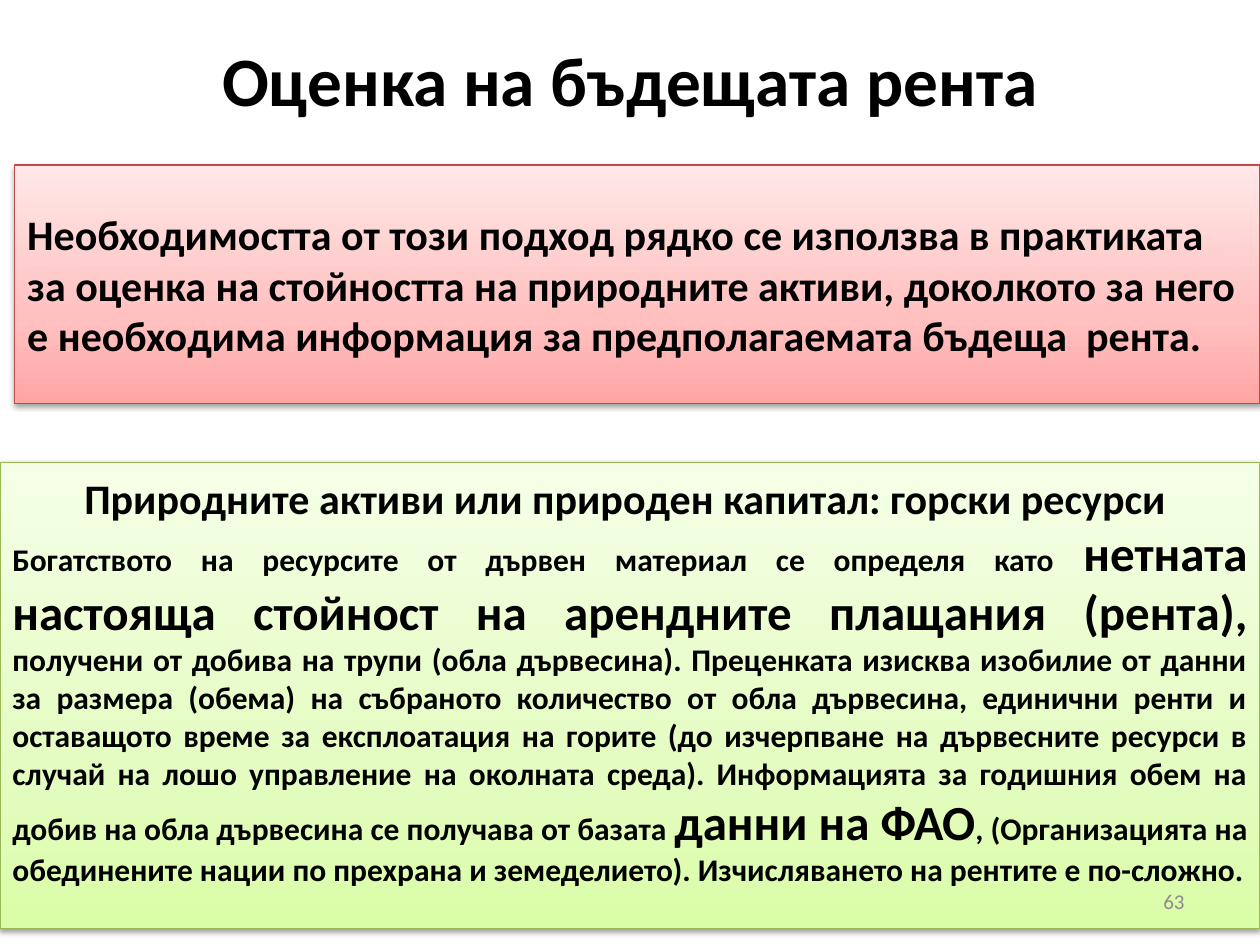
import copy
from dataclasses import dataclass

import lxml.etree
import pptx
import pptx.dml.color
import pptx.enum.shapes
import pptx.enum.text
import pptx.oxml
import pptx.oxml.ns
import pptx.util

Cm = pptx.util.Cm
Pt = pptx.util.Pt
RGBColor = pptx.dml.color.RGBColor
Align = pptx.enum.text.PP_ALIGN
Anchor = pptx.enum.text.MSO_ANCHOR

BLACK = RGBColor(0x00, 0x00, 0x00)
GREY = RGBColor(0x8C, 0x8C, 0x8C)
RED_LINE = RGBColor(0xBF, 0x4C, 0x48)
RED_STOPS = (RGBColor(0xFF, 0xA6, 0xA5), RGBColor(0xFF, 0xC0, 0xBF), RGBColor(0xFF, 0xE7, 0xE7))
GREEN_LINE = RGBColor(0x98, 0xB9, 0x55)
GREEN_STOPS = (RGBColor(0xDA, 0xFD, 0xA7), RGBColor(0xE4, 0xFC, 0xC2), RGBColor(0xF5, 0xFF, 0xE7))
STOP_POSITIONS = (0, 0.35, 1)

SHADOW = (
    f'<a:outerShdw {pptx.oxml.ns.nsdecls("a")} blurRad="{Pt(3.1)}" dist="{Pt(1.6)}" '
    'dir="5400000" rotWithShape="0">'
    '<a:srgbClr val="000000"><a:alpha val="38000"/></a:srgbClr></a:outerShdw>'
)


@dataclass(frozen=True)
class Span:
    text: str
    size: float
    bold: bool = True
    color: RGBColor = BLACK


@dataclass(frozen=True)
class Para:
    spans: tuple[Span, ...]
    alignment: Align


@dataclass(frozen=True)
class Area:
    left: float
    top: float
    width: float
    height: float


@dataclass(frozen=True)
class Panel:
    area: Area
    stops: tuple[RGBColor, ...]
    line: RGBColor
    paras: tuple[Para, ...]
    anchor: Anchor
    margin_top: float


def lengths(area: Area) -> list[pptx.util.Length]:
    return [Cm(value) for value in (area.left, area.top, area.width, area.height)]


def write_text(box, paras: tuple[Para, ...], anchor: Anchor, margin_top: float) -> None:
    frame = box.text_frame
    frame_format = {"word_wrap": True, "vertical_anchor": anchor, "margin_top": Cm(margin_top)}
    for name, value in frame_format.items():
        setattr(frame, name, value)
    for index, para in enumerate(paras):
        paragraph = frame.add_paragraph() if index else frame.paragraphs[0]
        paragraph.alignment = para.alignment
        for span in para.spans:
            run = paragraph.add_run()
            run.text = span.text
            font_format = {"name": "Calibri", "size": Pt(span.size), "bold": span.bold}
            for name, value in font_format.items():
                setattr(run.font, name, value)
            run.font.color.rgb = span.color


def fill_gradient(shape, colors: tuple[RGBColor, ...]) -> None:
    """Fill from the bottom edge upwards, one stop for each colour."""
    shape.fill.gradient()
    shape.fill.gradient_angle = 90
    stop_list = shape._element.spPr.find(".//" + pptx.oxml.ns.qn("a:gsLst"))
    stop_list.append(copy.deepcopy(stop_list[-1]))
    for stop, position, color in zip(shape.fill.gradient_stops, STOP_POSITIONS, colors):
        stop.position = position
        stop.color.rgb = color


def add_panel(page, panel: Panel) -> None:
    shape = page.shapes.add_shape(
        pptx.enum.shapes.MSO_SHAPE.RECTANGLE, *lengths(panel.area)
    )
    fill_gradient(shape, panel.stops)
    shape.line.color.rgb = panel.line
    shape.line.width = Pt(0.75)
    shape.shadow.inherit = False
    effects = shape._element.spPr.find(pptx.oxml.ns.qn("a:effectLst"))
    effects.append(pptx.oxml.parse_xml(SHADOW))
    write_text(shape, panel.paras, panel.anchor, panel.margin_top)


def add_label(page, area: Area, para: Para, anchor: Anchor, margin_top: float) -> None:
    box = page.shapes.add_textbox(*lengths(area))
    write_text(box, (para,), anchor, margin_top)


TITLE = Para((Span("Оценка на бъдещата рента", 39.6),), Align.CENTER)
PAGE_NUMBER = Para((Span("63", 12, False, GREY),), Align.RIGHT)

APPROACH = Panel(
    Area(0.3, 3.33, 25.1, 4.8), RED_STOPS, RED_LINE,
    (Para((Span(
        "Необходимостта от този подход рядко се използва в практиката за оценка на "
        "стойността на природните активи, доколкото за него е необходима информация "
        "за предполагаемата бъдеща  рента.", 24),), Align.LEFT),),
    Anchor.MIDDLE, 0.13,
)

FOREST = Panel(
    Area(0, 9.32, 25.4, 9.4), GREEN_STOPS, GREEN_LINE,
    (
        Para((Span("Природните активи или природен капитал: горски ресурси ", 24),), Align.CENTER),
        Para((
            Span("Богатството на ресурсите от дървен материал се определя като ", 18),
            Span("нетната настояща стойност на арендните плащания (рента), ", 28),
            Span(
                "получени от добива на трупи (обла дървесина). Преценката изисква изобилие "
                "от данни за размера (обема) на събраното количество от обла дървесина, "
                "единични ренти и оставащото време за експлоатация на горите (до изчерпване "
                "на дървесните ресурси в случай на лошо управление на околната среда). "
                "Информацията за годишния обем на добив на обла дървесина се получава от "
                "базата ", 18),
            Span("данни на ФАО", 28),
            Span(
                ", (Организацията на обединените нации по прехрана и земеделието). "
                "Изчисляването на рентите е по-сложно.", 18),
        ), Align.JUSTIFY),
    ),
    Anchor.TOP, 0.2,
)


def main() -> None:
    deck = pptx.Presentation()
    deck.slide_width, deck.slide_height = Cm(25.4), Cm(19.05)
    page = deck.slides.add_slide(deck.slide_layouts[6])
    add_label(page, Area(1.27, 0.76, 22.86, 3.18), TITLE, Anchor.TOP, 0)
    for panel in (APPROACH, FOREST):
        add_panel(page, panel)
    add_label(page, Area(18.2, 17.65, 5.93, 1.02), PAGE_NUMBER, Anchor.MIDDLE, 0.13)
    deck.save("out.pptx")


if __name__ == "__main__":
    main()
